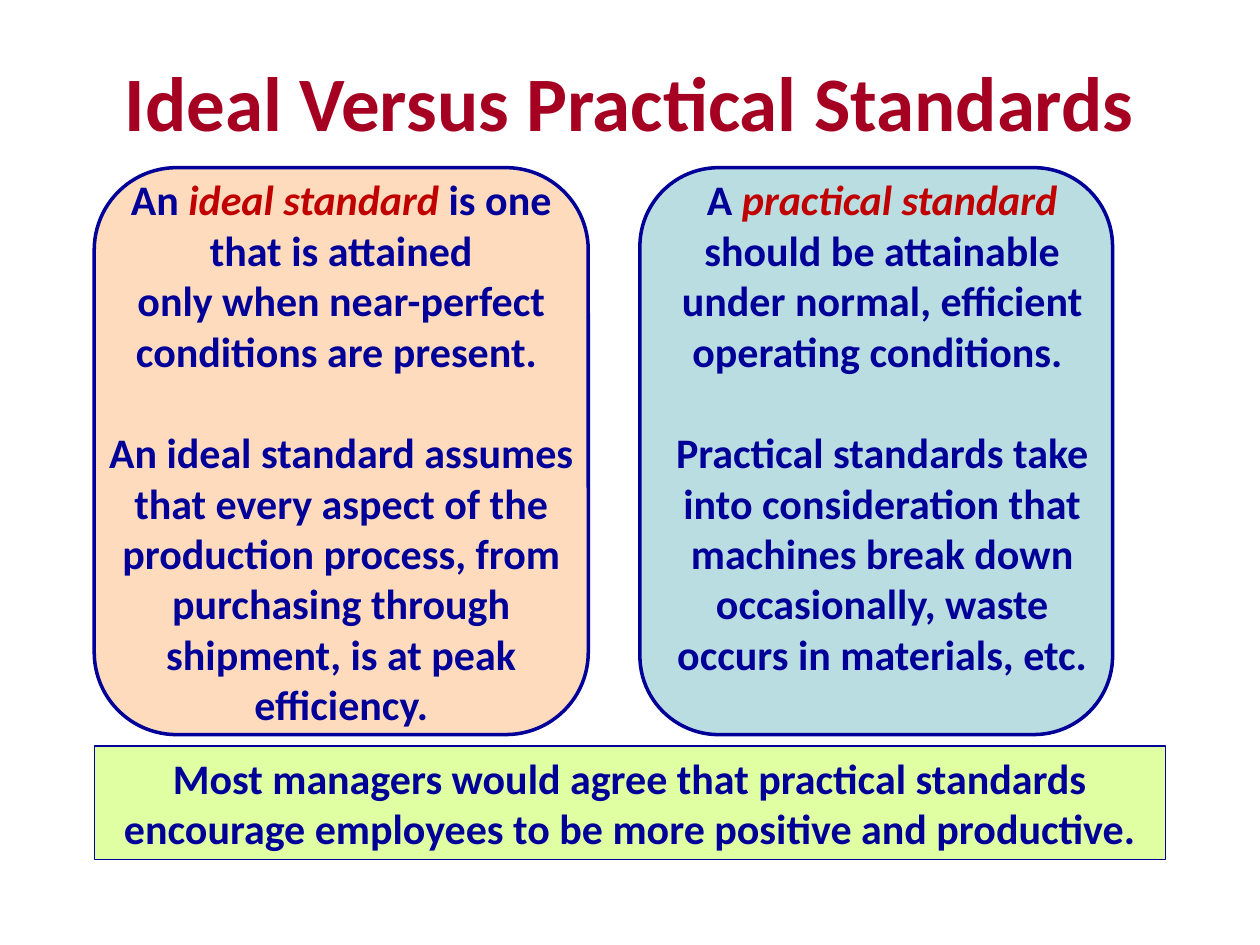
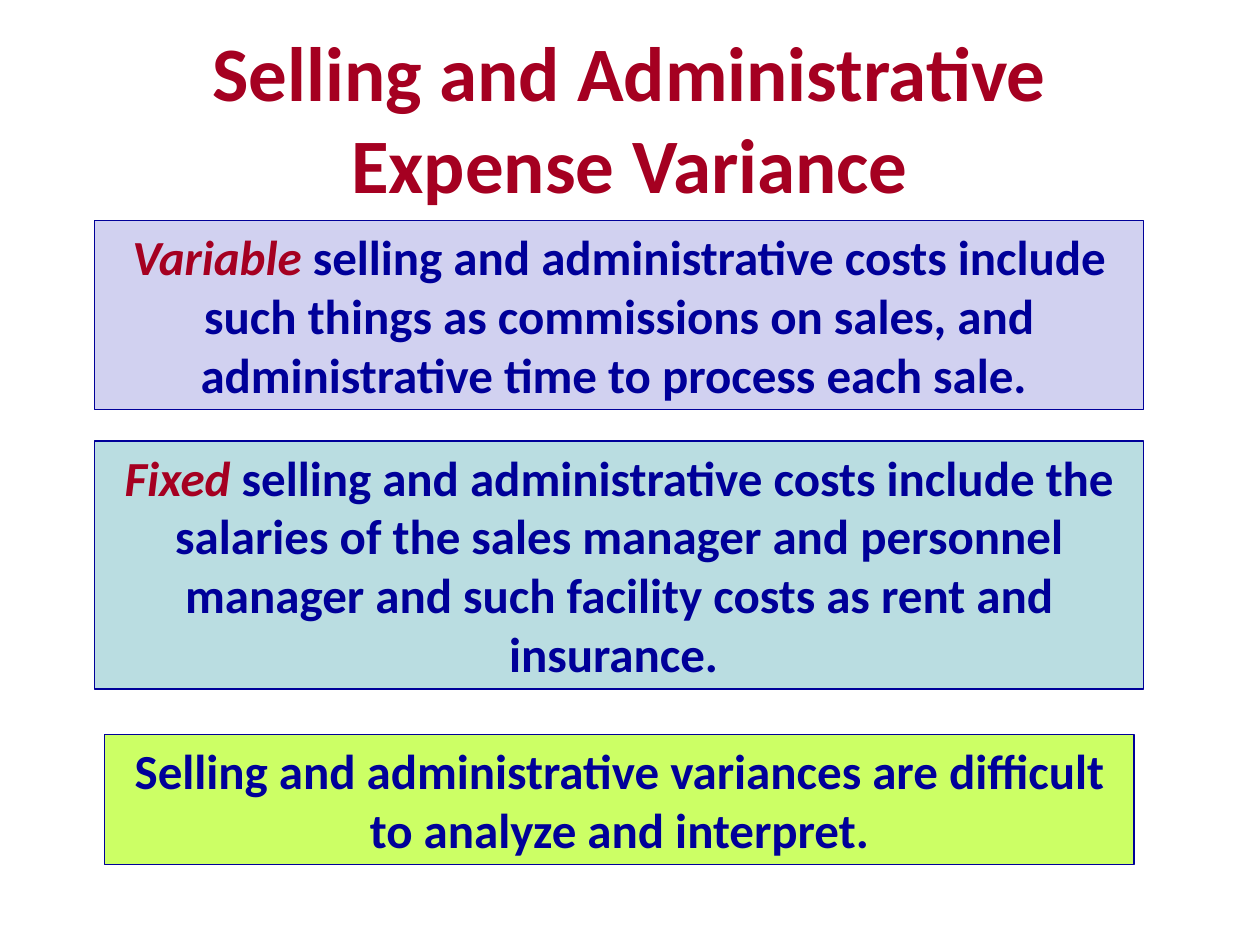
import pptx
import pptx.util
import pptx.dml.color
import pptx.enum.shapes
import pptx.enum.text

Cm = pptx.util.Cm
Pt = pptx.util.Pt
RGBColor = pptx.dml.color.RGBColor
Shape = pptx.enum.shapes.MSO_SHAPE
Text = pptx.enum.text

CRIMSON = RGBColor(0xA5, 0x00, 0x21)
RED = RGBColor(0xC0, 0x00, 0x00)
NAVY = RGBColor(0x00, 0x00, 0x99)
PEACH = RGBColor(0xFF, 0xDB, 0xBD)
TEAL = RGBColor(0xBA, 0xDD, 0xE1)
LILAC = RGBColor(0xD1, 0xD1, 0xF0)
PALE = RGBColor(0xE0, 0xFF, 0xA3)
LIME = RGBColor(0xCC, 0xFF, 0x65)

FONT = "Calibri"
LEFT = 1.9


class Deck:
    def __init__(self):
        self.prs = pptx.Presentation()
        self.prs.slide_width = Cm(25.4)
        self.prs.slide_height = Cm(19.05)
        self.slide = None

    def style(self, para, size, color):
        para.alignment = Text.PP_ALIGN.CENTER
        font = para.font
        font.name, font.size, font.bold = FONT, Pt(size), True
        font.color.rgb = color

    def page(self, title, top):
        """Start a slide with its title."""
        self.slide = self.prs.slides.add_slide(self.prs.slide_layouts[5])
        head = self.slide.shapes.title
        head.left, head.top = Cm(1.27), Cm(top)
        head.width, head.height = Cm(22.86), Cm(3.18)
        frame = head.text_frame
        frame.text = title
        frame.auto_size = Text.MSO_AUTO_SIZE.NONE
        frame.vertical_anchor = Text.MSO_ANCHOR.MIDDLE
        self.style(frame.paragraphs[0], 44, CRIMSON)

    def fill(self, frame, paras, size, accent, gap=None):
        """Write paragraphs of (text, is_key) runs; the one at index gap starts a new block."""
        frame.word_wrap = True
        frame.vertical_anchor = Text.MSO_ANCHOR.TOP
        for i, runs in enumerate(paras):
            para = frame.paragraphs[0] if i == 0 else frame.add_paragraph()
            self.style(para, size, NAVY)
            if i == gap:
                para.space_before = Pt(size * 1.22)
            for text, key in runs:
                run = para.add_run()
                run.text = text
                if key:
                    run.font.italic = True
                    run.font.color.rgb = accent

    def shape(self, kind, box, color, line):
        item = self.slide.shapes.add_shape(kind, *map(Cm, box))
        item.shadow.inherit = False
        item.fill.solid()
        item.fill.fore_color.rgb = color
        item.line.color.rgb = NAVY
        item.line.width = Pt(line)
        return item

    def band(self, box, color, runs, size, line=0.75):
        item = self.shape(Shape.RECTANGLE, box, color, line)
        self.fill(item.text_frame, [runs], size, CRIMSON)

    def card(self, box, color, area, paras, gap):
        """Draw a rounded panel with its text laid over it."""
        self.shape(Shape.ROUNDED_RECTANGLE, box, color, 2)
        note = self.slide.shapes.add_textbox(*map(Cm, area))
        self.fill(note.text_frame, paras, 24, RED, gap)


def main():
    deck = Deck()

    deck.page("Ideal Versus Practical Standards", 0.43)
    deck.band((LEFT, 15.04, 21.59, 2.29), PALE, [
        ("Most managers would agree that practical standards encourage "
         "employees to be more positive and productive.", False)], 24)
    ideal = (LEFT, 3.38, 9.96, 11.43)
    deck.card(ideal, PEACH, ideal, [
        [("An ", False), ("ideal standard ", True),
         ("is one that is attained", False)],
        [("only when near-perfect conditions are present. ", False)],
        [("An ideal standard assumes that every aspect of the production "
          "process, from purchasing through shipment, is at peak "
          "efficiency.", False)]], gap=2)
    deck.card((12.9, 3.38, 9.53, 11.43), TEAL, (13.34, 3.38, 8.89, 10.41), [
        [("A ", False), ("practical standard ", True),
         ("should be attainable under normal, efficient operating "
          "conditions. ", False)],
        [("Practical standards take into consideration that machines "
          "break down", False)],
        [("occasionally, waste occurs in materials, etc.", False)]], gap=1)

    deck.page("Selling and Administrative Expense Variance", 0.76)
    deck.band((LEFT, 4.45, 21.16, 3.81), LILAC, [
        ("Variable ", True),
        ("selling and administrative costs include such things as "
         "commissions on sales, and administrative time to process each "
         "sale. ", False)], 28, line=0)
    deck.band((LEFT, 8.89, 21.16, 5), TEAL, [
        ("Fixed", True),
        (" selling and administrative costs include the salaries of the "
         "sales manager and personnel manager and such facility costs as "
         "rent and insurance. ", False)], 28, line=0)
    deck.band((2.11, 14.81, 20.75, 2.62), LIME, [
        ("Selling and administrative variances are difficult to analyze "
         "and interpret.", False)], 28)

    deck.prs.save("out.pptx")


if __name__ == "__main__":
    main()
